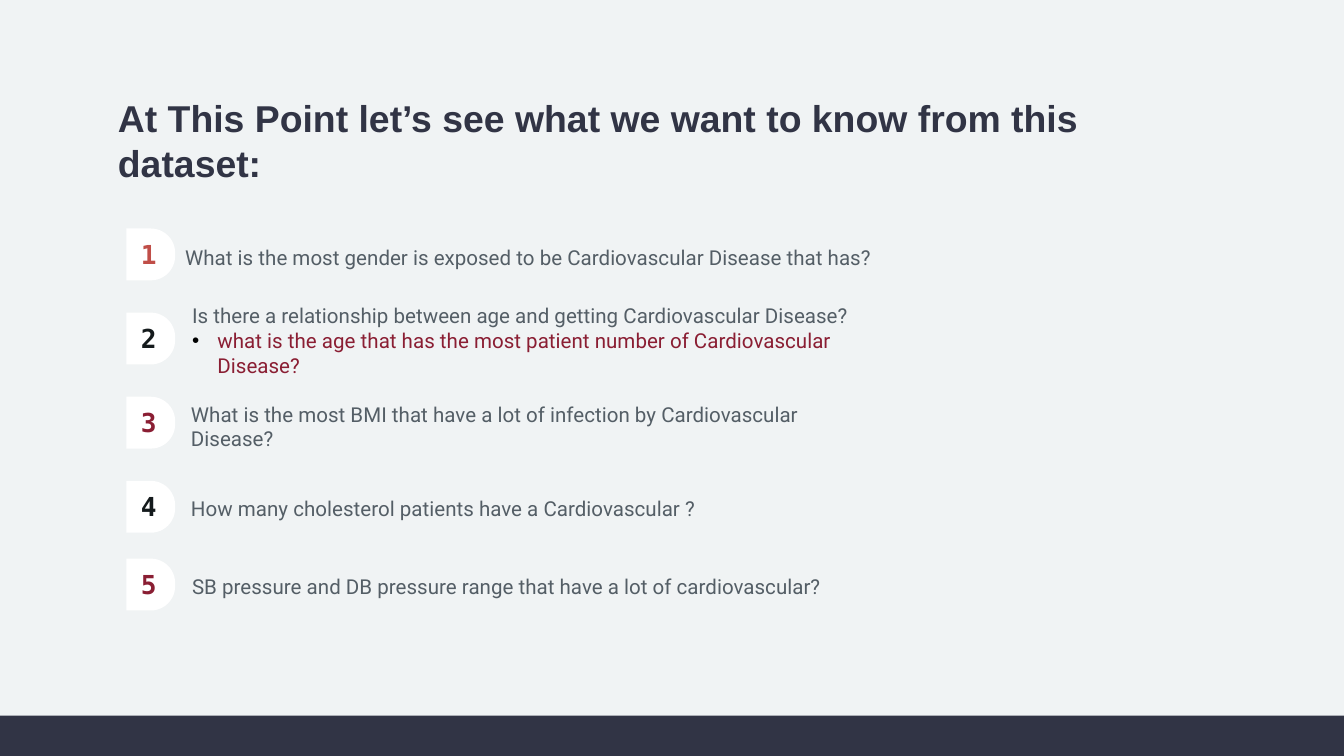
from dataclasses import dataclass

from lxml.etree import SubElement
from pptx import Presentation
from pptx.dml.color import RGBColor
from pptx.enum.shapes import MSO_SHAPE as Shape
from pptx.enum.text import MSO_ANCHOR as Anchor, MSO_AUTO_SIZE as AutoSize, PP_ALIGN as Align
from pptx.oxml.ns import qn
from pptx.util import Cm, Pt


@dataclass(frozen=True)
class Theme:
    background: str = "F0F3F4"
    navy: str = "313445"
    gray: str = "545E66"
    white: str = "FFFFFF"
    black: str = "000000"
    ink: str = "141A1C"
    coral: str = "C04E48"
    wine: str = "8A1E33"
    title_font: str = "Arial"
    body_font: str = "Roboto"
    number_font: str = "DejaVu Sans Mono"
    title_size: int = 20
    body_size: int = 11
    number_size: int = 14


THEME = Theme()
SLIDE_WIDTH, SLIDE_HEIGHT = 25.4, 14.29
FOOTER_HEIGHT = 0.76
BADGE_LEFT, BADGE_WIDTH, BADGE_HEIGHT = 2.36, 0.98, 0.92
NUMBER_WIDTH, NUMBER_HEIGHT = 1.14, 1.07

# Number colour, badge top, text box (left, top, width, height), question, sub-question
QUESTIONS = [
    (THEME.coral, 4.35, (3.25, 4.5, 13.82, 0.74),
     "What is the most gender is exposed to be Cardiovascular Disease that has?", None),
    (THEME.ink, 5.94, (3.38, 5.61, 13.77, 1.68),
     "Is there a relationship between age and getting Cardiovascular Disease?",
     "what is the age that has the most patient number of Cardiovascular Disease?"),
    (THEME.wine, 7.53, (3.36, 7.47, 12.7, 1.19),
     "What is the most BMI that have a lot of infection by Cardiovascular Disease?", None),
    (THEME.ink, 9.12, (3.36, 9.25, 12.7, 0.74),
     "How many cholesterol patients have a Cardiovascular ?", None),
    (THEME.wine, 10.59, (3.38, 10.72, 12.7, 0.74),
     "SB pressure and DB pressure range that have a lot of cardiovascular?", None),
]


class SlideBuilder:
    def __init__(self, slide, theme):
        self.slide = slide
        self.theme = theme
        fill = slide.background.fill
        fill.solid()
        fill.fore_color.rgb = RGBColor.from_string(theme.background)

    def add_block(self, kind, left, top, width, height, color):
        """Add a plain filled shape without line or shadow."""
        shape = self.slide.shapes.add_shape(kind, Cm(left), Cm(top), Cm(width), Cm(height))
        shape.shadow.inherit = False
        shape.fill.solid()
        shape.fill.fore_color.rgb = RGBColor.from_string(color)
        shape.line.fill.background()
        return shape

    def add_text_frame(self, left, top, width, height, auto_size=AutoSize.SHAPE_TO_FIT_TEXT):
        box = self.slide.shapes.add_textbox(Cm(left), Cm(top), Cm(width), Cm(height))
        frame = box.text_frame
        frame.word_wrap = True
        frame.auto_size = auto_size
        return frame

    def add_run(self, paragraph, text, font, size, color, bold=False):
        run = paragraph.add_run()
        run.text = text
        run.font.name = font
        run.font.size = Pt(size)
        run.font.bold = bold
        run.font.color.rgb = RGBColor.from_string(color)

    def add_bullet(self, paragraph):
        properties = paragraph._p.get_or_add_pPr()
        properties.set("marL", str(Cm(0.48)))
        properties.set("indent", str(-Cm(0.48)))
        bullet_color = SubElement(properties, qn("a:buClr"))
        SubElement(bullet_color, qn("a:srgbClr"), val=self.theme.black)
        SubElement(properties, qn("a:buFont"), typeface="Arial")
        SubElement(properties, qn("a:buChar"), char="•")

    def add_title(self, text):
        frame = self.add_text_frame(1.98, 1.68, 19.58, 1.96)
        self.add_run(frame.paragraphs[0], text, self.theme.title_font,
                     self.theme.title_size, self.theme.navy, bold=True)

    def add_badge(self, number, top, color):
        badge = self.add_block(Shape.ROUND_2_SAME_RECTANGLE, BADGE_LEFT, top,
                               BADGE_WIDTH, BADGE_HEIGHT, self.theme.white)
        badge.rotation = 90
        badge.adjustments[0] = 0.5
        badge.adjustments[1] = 0
        frame = self.add_text_frame(BADGE_LEFT - 0.12, top - 0.09, NUMBER_WIDTH,
                                    NUMBER_HEIGHT, AutoSize.NONE)
        frame.margin_top = frame.margin_bottom = Cm(0.25)
        frame.vertical_anchor = Anchor.MIDDLE
        paragraph = frame.paragraphs[0]
        paragraph.alignment = Align.CENTER
        self.add_run(paragraph, str(number), self.theme.number_font,
                     self.theme.number_size, color, bold=True)

    def add_question(self, box, question, sub_question):
        theme = self.theme
        frame = self.add_text_frame(*box)
        self.add_run(frame.paragraphs[0], question, theme.body_font, theme.body_size, theme.gray)
        if sub_question:
            paragraph = frame.add_paragraph()
            self.add_bullet(paragraph)
            self.add_run(paragraph, sub_question, theme.body_font, theme.body_size, theme.wine)

    def add_footer(self):
        self.add_block(Shape.RECTANGLE, 0, SLIDE_HEIGHT - FOOTER_HEIGHT,
                       SLIDE_WIDTH, FOOTER_HEIGHT, self.theme.navy)


def main():
    presentation = Presentation()
    presentation.slide_width = Cm(SLIDE_WIDTH)
    presentation.slide_height = Cm(SLIDE_HEIGHT)
    slide = presentation.slides.add_slide(presentation.slide_layouts[6])
    builder = SlideBuilder(slide, THEME)

    builder.add_title("At This Point let’s see what we want to know from this dataset:")
    for number, (color, badge_top, box, question, sub_question) in enumerate(QUESTIONS, start=1):
        builder.add_question(box, question, sub_question)
        builder.add_badge(number, badge_top, color)
    builder.add_footer()

    presentation.save("out.pptx")


if __name__ == "__main__":
    main()
